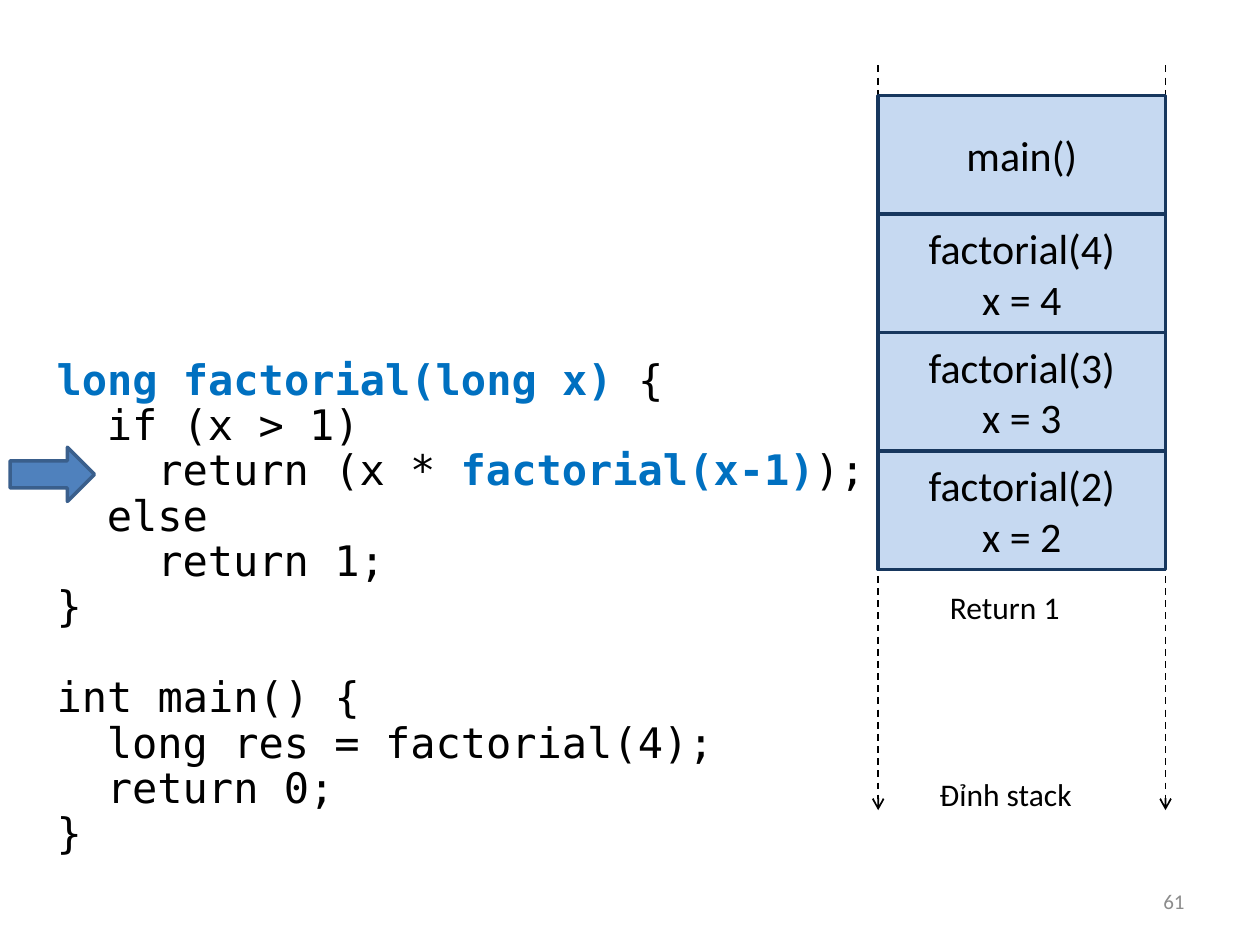
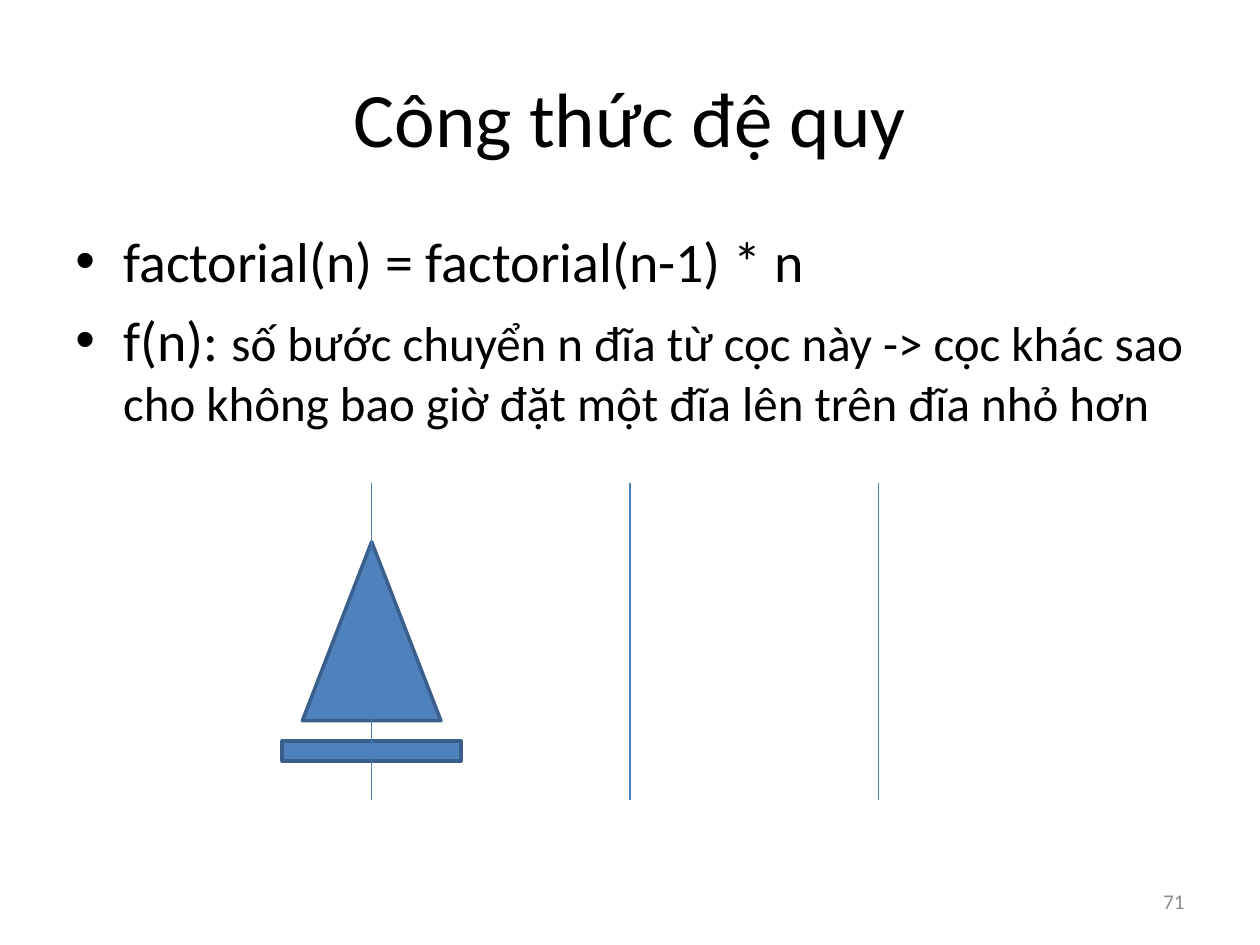
from lxml import etree
from pptx import Presentation
from pptx import util as u
from pptx.dml.color import RGBColor
from pptx.enum import dml, shapes, text
from pptx.oxml import ns

BLACK = RGBColor(0x00, 0x00, 0x00)
GREY = RGBColor(0x8C, 0x8C, 0x8C)
KEYWORD = RGBColor(0x00, 0x70, 0xC0)
BLUE = RGBColor(0x4F, 0x81, 0xBD)
BLUE_EDGE = RGBColor(0x3A, 0x5F, 0x8C)
PEG = RGBColor(0x4B, 0x7E, 0xBC)
FRAME = RGBColor(0xC6, 0xD9, 0xF1)
FRAME_EDGE = RGBColor(0x17, 0x37, 0x5E)

BODY_FONT = "Calibri"
CODE_FONT = "DejaVu Sans Mono"
TITLE_ONLY, BLANK = 5, 6
CODE_SIZE = 24
CODE_LINE_HEIGHT = 26
CODE_INDENT = 0.4
BULLET_INDENT = 0.38

Align = text.PP_ALIGN
Anchor = text.MSO_ANCHOR
Shape = shapes.MSO_SHAPE


class Painter:
    def __init__(self):
        self.deck = Presentation()
        self.deck.slide_width = u.Inches(10)
        self.deck.slide_height = u.Inches(7.5)
        self.page = None

    def new_page(self, number, title=None):
        layout = BLANK if title is None else TITLE_ONLY
        self.page = self.deck.slides.add_slide(self.deck.slide_layouts[layout])
        if title is not None:
            self.title(title)
        self.label(7.17, 6.95, 2.33, 0.4, str(number), 12, GREY,
                   Align.RIGHT, Anchor.MIDDLE)

    def title(self, words):
        box = self.page.shapes.title
        box.left, box.top = u.Inches(0.5), u.Inches(0.3)
        box.width, box.height = u.Inches(9), u.Inches(1.25)
        box.text_frame.vertical_anchor = Anchor.MIDDLE
        para = box.text_frame.paragraphs[0]
        para.alignment = Align.CENTER
        self.span(para, words, 44)

    def span(self, para, words, size, color=BLACK, font=BODY_FONT, bold=False):
        span = para.add_run()
        span.text = words
        span.font.size = u.Pt(size)
        span.font.name = font
        span.font.bold = bold
        span.font.color.rgb = color

    def paragraph(self, frame, index):
        return frame.add_paragraph() if index else frame.paragraphs[0]

    def text_box(self, left, top, width, height, anchor=Anchor.TOP):
        box = self.page.shapes.add_textbox(
            u.Inches(left), u.Inches(top), u.Inches(width), u.Inches(height))
        box.text_frame.word_wrap = True
        box.text_frame.vertical_anchor = anchor
        return box.text_frame

    def label(self, left, top, width, height, words, size, color=BLACK,
              align=Align.LEFT, anchor=Anchor.TOP):
        frame = self.text_box(left, top, width, height, anchor)
        para = frame.paragraphs[0]
        para.alignment = align
        self.span(para, words, size, color)

    def code(self, left, top, width, height, blocks):
        frame = self.text_box(left, top, width, height)
        index = 0
        for block in blocks:
            for row, (level, spans) in enumerate(block):
                para = self.paragraph(frame, index)
                para.line_spacing = 0.9
                if index and row == 0:
                    para.space_before = u.Pt(CODE_LINE_HEIGHT)
                self.indent(para, level * CODE_INDENT, 0)
                for words, marked in spans:
                    self.span(para, words, CODE_SIZE,
                              KEYWORD if marked else BLACK, CODE_FONT, marked)
                index += 1

    def indent(self, para, margin, first):
        properties = para._p.get_or_add_pPr()
        properties.set("marL", str(u.Inches(margin)))
        properties.set("indent", str(u.Inches(first)))
        return properties

    def bullets(self, left, top, width, height, items):
        frame = self.text_box(left, top, width, height)
        for index, spans in enumerate(items):
            para = self.paragraph(frame, index)
            para.space_before = u.Pt(6.4)
            properties = self.indent(para, BULLET_INDENT, -BULLET_INDENT)
            font = etree.SubElement(properties, ns.qn("a:buFont"))
            font.set("typeface", "Arial")
            etree.SubElement(properties, ns.qn("a:buChar")).set("char", "•")
            for words, size in spans:
                self.span(para, words, size)

    def shape(self, kind, left, top, width, height, lines=(),
              fill=BLUE, edge=BLUE_EDGE):
        shape = self.page.shapes.add_shape(
            kind, u.Inches(left), u.Inches(top), u.Inches(width), u.Inches(height))
        shape.shadow.inherit = False
        shape.fill.solid()
        shape.fill.fore_color.rgb = fill
        shape.line.color.rgb = edge
        shape.line.width = u.Pt(2)
        shape.text_frame.vertical_anchor = Anchor.MIDDLE
        for index, words in enumerate(lines):
            para = self.paragraph(shape.text_frame, index)
            para.alignment = Align.CENTER
            self.span(para, words, 24)

    def vertical(self, x, top, bottom, color, width, dashed_arrow=False):
        line = self.page.shapes.add_connector(
            shapes.MSO_CONNECTOR.STRAIGHT,
            u.Inches(x), u.Inches(top), u.Inches(x), u.Inches(bottom))
        line.line.color.rgb = color
        line.line.width = u.Pt(width)
        if dashed_arrow:
            line.line.dash_style = dml.MSO_LINE.DASH
            tail = etree.SubElement(line.line._get_or_add_ln(), ns.qn("a:tailEnd"))
            tail.set("type", "arrow")
        etree.SubElement(line._element.spPr, ns.qn("a:effectLst"))


def call_stack_page(painter):
    painter.new_page(61)
    factorial = [
        (0, [("long factorial(long x) ", True), ("{", False)]),
        (1, [("if (x > 1)", False)]),
        (2, [("return (x * ", False), ("factorial(x-1)", True), (");", False)]),
        (1, [("else", False)]),
        (2, [("return 1;", False)]),
        (0, [("}", False)]),
    ]
    main_function = [
        (0, [("int main() {", False)]),
        (1, [("long res = factorial(4);", False)]),
        (1, [("return 0;", False)]),
        (0, [("}", False)]),
    ]
    painter.code(0.35, 2.8, 9.65, 4.1, [factorial, main_function])

    stack_left, stack_top, stack_width, frame_height = 6.97, 0.76, 2.28, 0.94
    for x in (stack_left, stack_left + stack_width):
        painter.vertical(x, 0.52, 6.43, BLACK, 1, dashed_arrow=True)
    painter.label(7.36, 6.1, 1.5, 0.4, "Đỉnh stack", 18)
    painter.label(7.44, 4.62, 1.42, 0.4, "Return 1", 18)

    calls = [["main()"]] + [[f"factorial({x})", f"x = {x}"] for x in (4, 3, 2)]
    for index, lines in enumerate(calls):
        painter.shape(Shape.RECTANGLE, stack_left, stack_top + index * frame_height,
                      stack_width, frame_height, lines, FRAME, FRAME_EDGE)
    painter.shape(Shape.RIGHT_ARROW, 0.08, 3.55, 0.67, 0.43)


def recurrence_page(painter):
    painter.new_page(71, "Công thức đệ quy")
    painter.bullets(0.5, 1.75, 9, 4.95, [
        [("factorial(n) = factorial(n-1) * n", 32)],
        [("f(n): ", 32),
         ("số bước chuyển n đĩa từ cọc này -> cọc khác sao cho không bao giờ "
          "đặt một đĩa lên trên đĩa nhỏ hơn", 28)],
    ])
    pegs = (2.95, 5, 6.97)
    for kind, top, width, height in ((Shape.ISOSCELES_TRIANGLE, 4.3, 1.1, 1.42),
                                     (Shape.RECTANGLE, 5.88, 1.42, 0.16)):
        painter.shape(kind, pegs[0] - width / 2, top, width, height)
    for x in pegs:
        painter.vertical(x, 3.83, 6.35, PEG, 0.75)


def main():
    painter = Painter()
    call_stack_page(painter)
    recurrence_page(painter)
    painter.deck.save("out.pptx")


if __name__ == "__main__":
    main()
